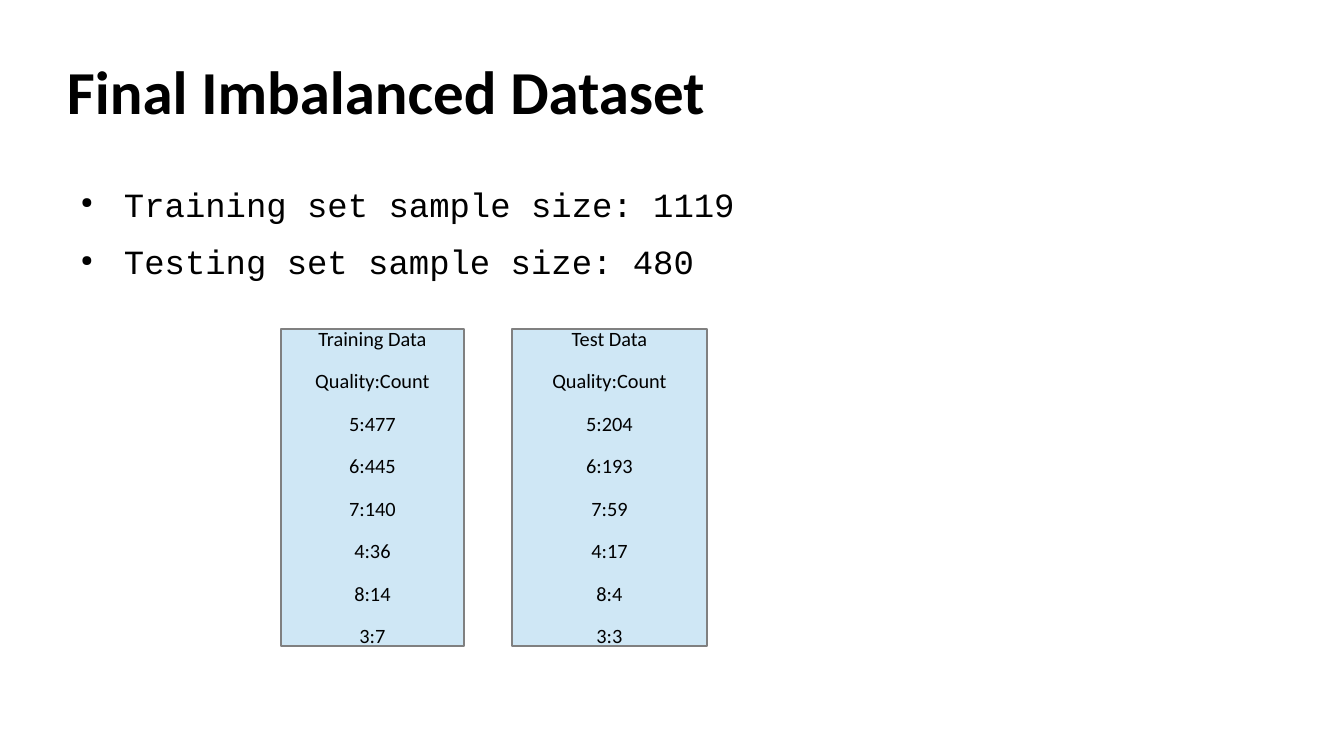
from lxml import etree
from pptx import Presentation, util as u
from pptx.dml.color import RGBColor
from pptx.enum import shapes, text
from pptx.oxml import ns

BLACK = RGBColor(0, 0, 0)
GREY = RGBColor(0x80, 0x80, 0x80)
WHITE = RGBColor(255, 255, 255)
PALE_BLUE = RGBColor(0xCF, 0xE7, 0xF5)
SCALE = 914400 / 122


def px(length):
    return u.Emu(round(length * SCALE))


def write(box, lines, frame_format, para_format, font_format, bullet=False):
    frame = box.text_frame
    for name, value in frame_format.items():
        setattr(frame, name, value)
    for index, line in enumerate(lines):
        para = frame.paragraphs[0] if index == 0 else frame.add_paragraph()
        if bullet:
            props = para._p.get_or_add_pPr()
            props.set("marL", str(px(57)))
            props.set("indent", str(px(-43)))
            colour = etree.SubElement(props, ns.qn("a:buClr"))
            etree.SubElement(colour, ns.qn("a:srgbClr"), val=str(BLACK))
            etree.SubElement(props, ns.qn("a:buSzPct"), val="45000")
            etree.SubElement(props, ns.qn("a:buChar"), char="●")
        for name, value in para_format.items():
            setattr(para, name, value)
        span = para.add_run()
        span.text = line
        span.font.color.rgb = BLACK
        for name, value in font_format.items():
            setattr(span.font, name, value)


deck = Presentation()
deck.slide_width, deck.slide_height = px(1344), px(756)
page = deck.slides.add_slide(deck.slide_layouts[6])
page.background.fill.solid()
page.background.fill.fore_color.rgb = WHITE

flush = dict(margin_left=0, margin_right=0, margin_bottom=0, word_wrap=True)

title = page.shapes.add_textbox(px(67), px(29), px(937), px(124))
write(
    title,
    ["Final Imbalanced Dataset"],
    dict(flush, margin_top=px(11), vertical_anchor=text.MSO_ANCHOR.MIDDLE),
    dict(line_spacing=0.83),
    dict(name="Calibri", size=u.Pt(36), bold=True),
)

sizes = page.shapes.add_textbox(px(67), px(183), px(1210), px(439))
write(
    sizes,
    ["Training set sample size: 1119", "Testing set sample size: 480"],
    dict(flush, margin_top=px(4), vertical_anchor=text.MSO_ANCHOR.TOP),
    dict(line_spacing=0.93, space_after=u.Pt(11.5)),
    dict(name="Courier New", size=u.Pt(20)),
    bullet=True,
)

QUALITIES = (5, 6, 7, 4, 8, 3)
DATASETS = [
    ("Training Data", 281, 183, (477, 445, 140, 36, 14, 7)),
    ("Test Data", 512, 195, (204, 193, 59, 17, 4, 3)),
]
for heading, left, width, counts in DATASETS:
    box = page.shapes.add_shape(
        shapes.MSO_SHAPE.RECTANGLE, px(left), px(329), px(width), px(317)
    )
    box.shadow.inherit = False
    box.fill.solid()
    box.fill.fore_color.rgb = PALE_BLUE
    box.line.color.rgb = GREY
    box.line.width = u.Pt(0.75)
    rows = [f"{quality}:{count}" for quality, count in zip(QUALITIES, counts)]
    write(
        box,
        [heading, "Quality:Count", *rows],
        dict(margin_left=px(12), margin_right=px(12), margin_top=px(7),
             margin_bottom=px(6), word_wrap=False,
             vertical_anchor=text.MSO_ANCHOR.MIDDLE),
        dict(alignment=text.PP_ALIGN.CENTER, line_spacing=0.94,
             space_after=u.Pt(11.5)),
        dict(name="Calibri", size=u.Pt(12)),
    )

deck.save("out.pptx")
